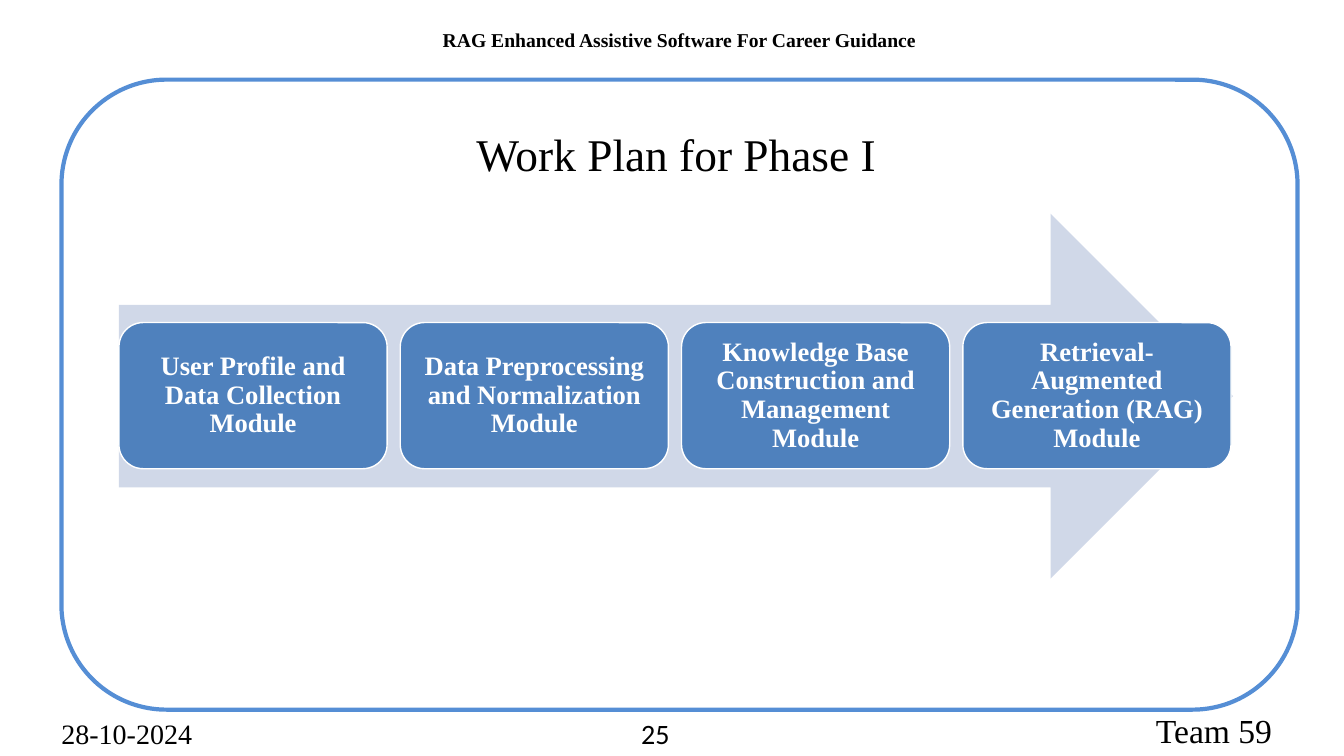
"""Build the Phase I work plan slide."""
from pptx import Presentation
from pptx import util as u
from pptx.dml.color import RGBColor
from pptx.enum import shapes, text

SERIF = "Times New Roman"
LEFT, CENTER, RIGHT = text.PP_ALIGN.LEFT, text.PP_ALIGN.CENTER, text.PP_ALIGN.RIGHT
TOP, MIDDLE, BOTTOM = text.MSO_ANCHOR.TOP, text.MSO_ANCHOR.MIDDLE, text.MSO_ANCHOR.BOTTOM
MODULES = [
    "User Profile and Data Collection Module",
    "Data Preprocessing and Normalization Module",
    "Knowledge Base Construction and Management Module",
    "Retrieval-Augmented Generation (RAG) Module",
]


def rgb(value):
    """Turn a hex string into a colour."""
    return RGBColor.from_string(value)


class Deck:
    """Hold the style and the current slide."""

    ink, white = "000000", "FFFFFF"
    frame, arrow, block = "558ED5", "D0D8E8", "4F81BD"

    def __init__(self):
        """Create a presentation with one title-only slide."""
        self.prs = Presentation()
        self.prs.slide_width, self.prs.slide_height = u.Inches(13.33), u.Inches(7.5)
        self.s = self.prs.slides.add_slide(self.prs.slide_layouts[5])

    def set_text(self, sp, words, size, color=ink, font=SERIF, bold=False, align=CENTER,
                 anchor=MIDDLE, spacing=1.0, inset=(0.1, 0.05, 0.1, 0.05)):
        """Fill a shape with one formatted paragraph."""
        tf = sp.text_frame
        tf.text = words
        tf.word_wrap = True
        tf.auto_size = text.MSO_AUTO_SIZE.NONE
        tf.vertical_anchor = anchor
        tf.margin_left, tf.margin_top, tf.margin_right, tf.margin_bottom = map(u.Inches, inset)
        p = tf.paragraphs[0]
        p.alignment, p.line_spacing = align, spacing
        p.font.name, p.font.size, p.font.bold = font, u.Pt(size), bold
        p.font.color.rgb = rgb(color)

    def title(self, box, words, size):
        """Place and format the title placeholder."""
        sp = self.s.shapes.title
        sp.left, sp.top, sp.width, sp.height = map(u.Inches, box)
        self.set_text(sp, words, size, anchor=BOTTOM, spacing=0.9)

    def label(self, box, words, size, **style):
        """Add a text box."""
        self.set_text(self.s.shapes.add_textbox(*map(u.Inches, box)), words, size, **style)

    def shape(self, kind, box, fill=None, line=None, width=1):
        """Add a preset shape."""
        sp = self.s.shapes.add_shape(kind, *map(u.Inches, box))
        sp.shadow.inherit = False
        if fill:
            sp.fill.solid()
            sp.fill.fore_color.rgb = rgb(fill)
        else:
            sp.fill.background()
        if line:
            sp.line.color.rgb = rgb(line)
            sp.line.width = u.Pt(width)
        else:
            sp.line.fill.background()
        return sp


def main():
    """Draw the slide and save it."""
    deck = Deck()
    kinds = shapes.MSO_SHAPE
    deck.shape(kinds.ROUNDED_RECTANGLE, (0.61, 0.79, 12.26, 6.25), line=deck.frame, width=3)
    deck.title((2.84, 1.33, 7.73, 0.52), "Work Plan for Phase I", 32.4)
    deck.label((2.46, 0.19, 8.56, 0.6), "RAG Enhanced Assistive Software For Career Guidance",
               14, bold=True, anchor=TOP, spacing=1.15)
    deck.shape(kinds.RIGHT_ARROW, (1.18, 2.12, 11.05, 3.62), fill=deck.arrow)
    left, step = 1.18, 2.79
    for i, module in enumerate(MODULES):
        sp = deck.shape(kinds.ROUNDED_RECTANGLE, (left + i * step, 3.2, 2.66, 1.45),
                        fill=deck.block, line=deck.white)
        deck.set_text(sp, module, 19, color=deck.white, bold=True, spacing=0.9,
                      inset=(0.08,) * 4)
    deck.label((0.51, 7.07, 3, 0.4), "28-10-2024", 20, align=LEFT)
    deck.label((3.74, 7.07, 3, 0.4), "25", 20, font="Calibri", align=RIGHT)
    deck.label((10.57, 7.04, 2.44, 0.4), "Team 59", 24, inset=(0.6, 0.05, 0.1, 0.05))
    deck.prs.save("out.pptx")


if __name__ == "__main__":
    main()
